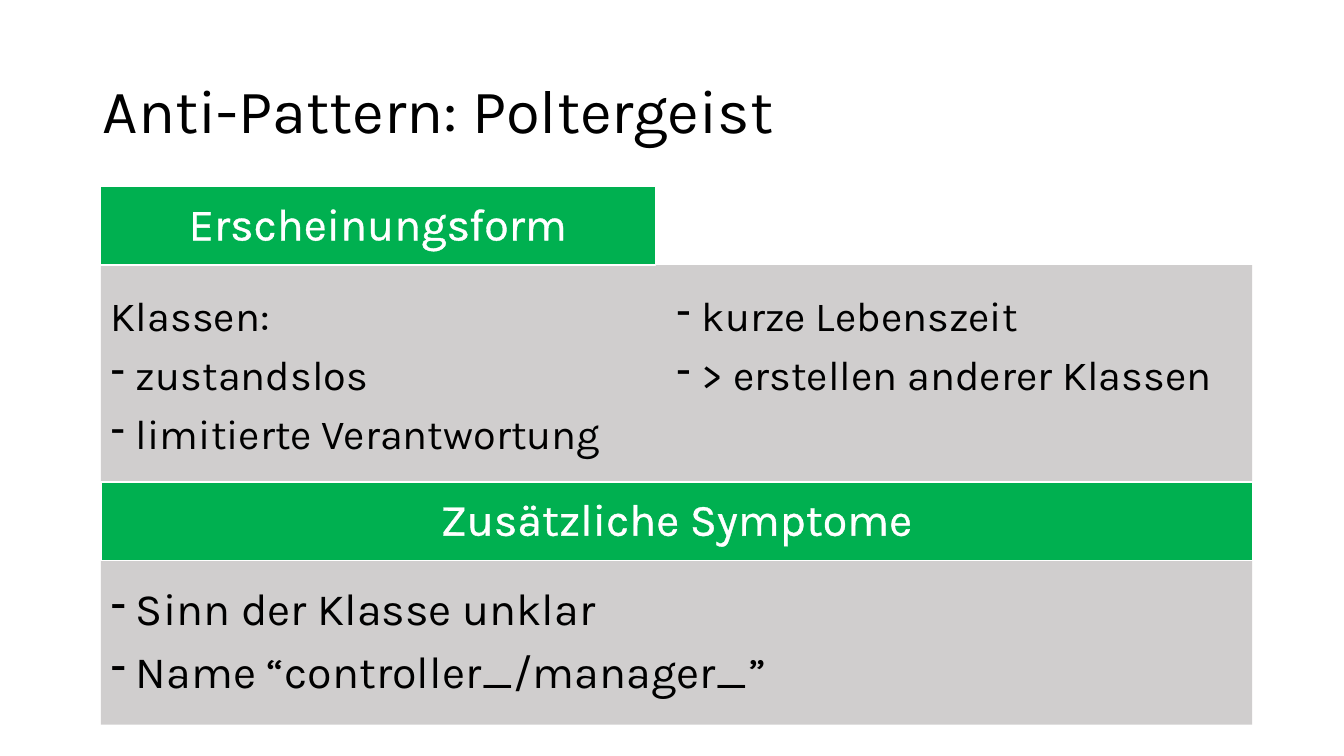
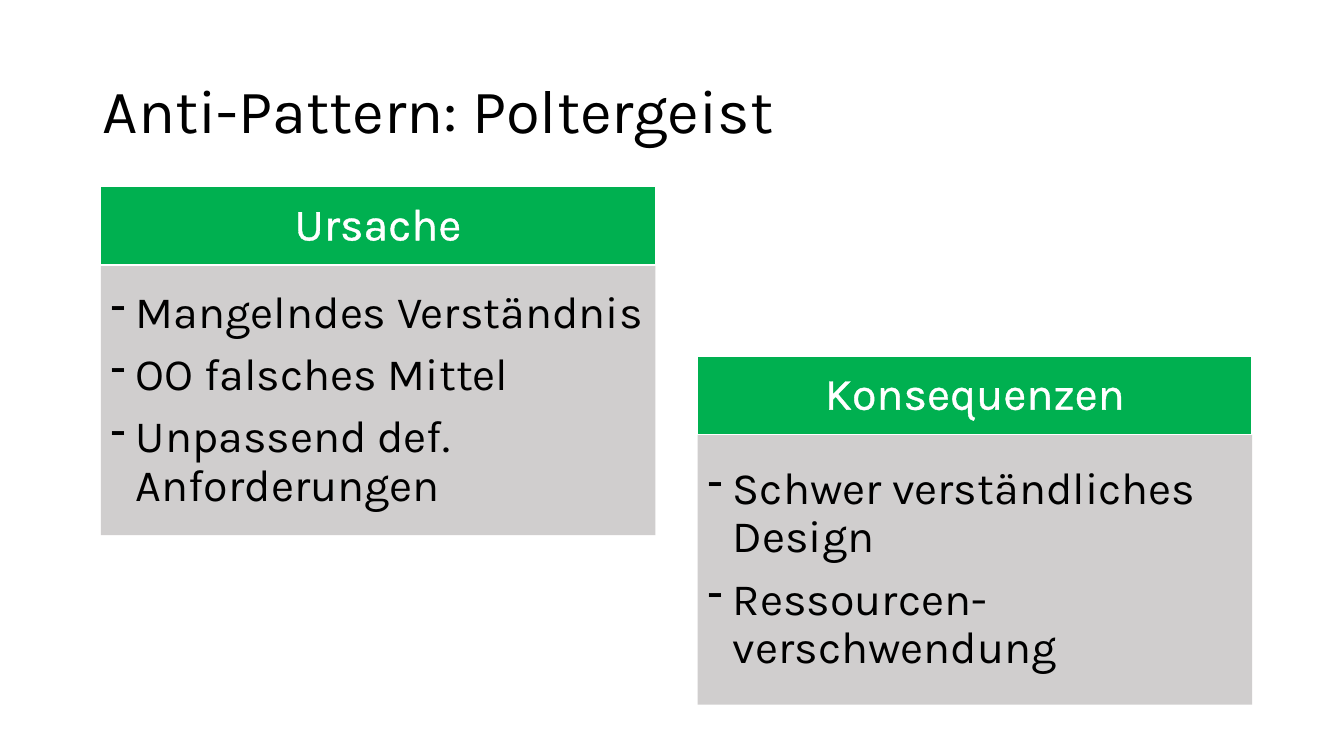
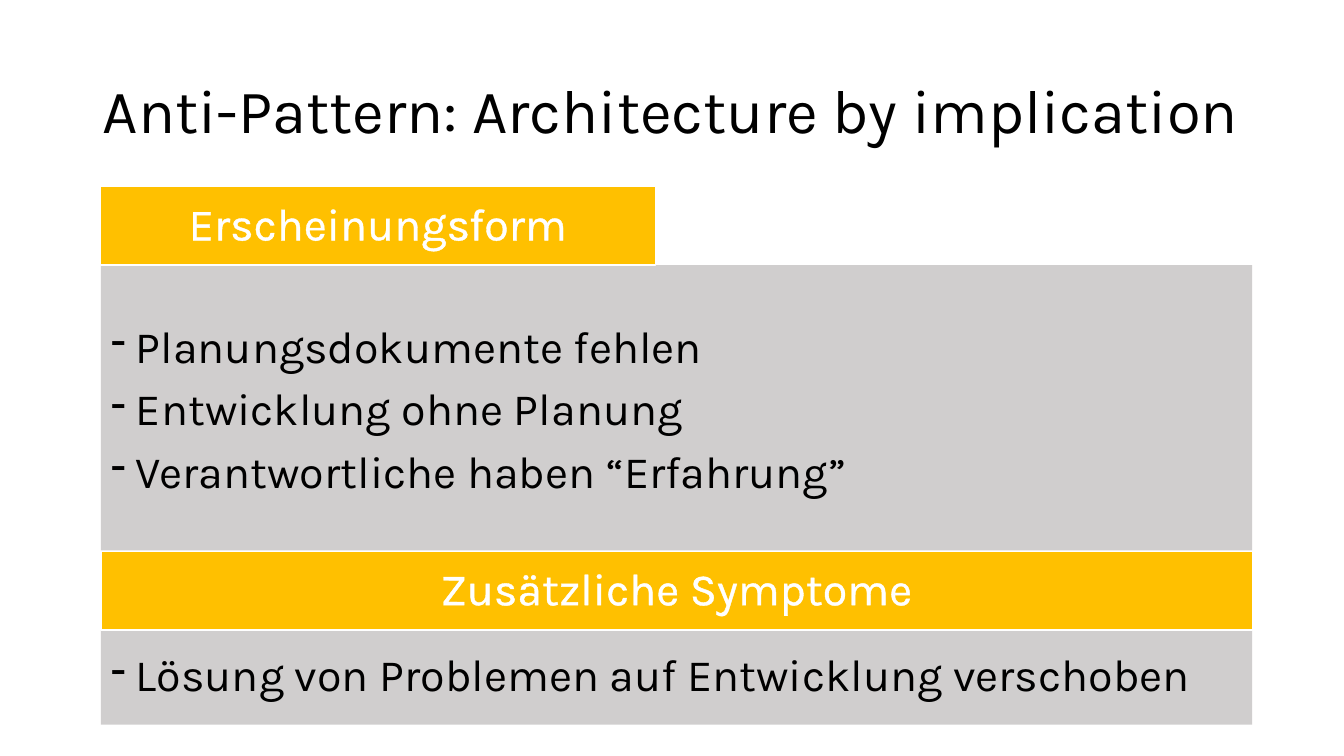
import pptx
import pptx.util
import pptx.dml.color
import pptx.enum.shapes
import pptx.enum.text
import pptx.oxml.ns
import lxml.etree

Inches = pptx.util.Inches
Pt = pptx.util.Pt
ALIGN = pptx.enum.text.PP_ALIGN

COLORS = {"text": "000000", "white": "FFFFFF", "body": "D0CECE",
          "green": "00B050", "amber": "FFC000"}
FONT = "Karla"
LEFT, TOP, HEAD_HEIGHT = 1, 1.85, 0.78
HALF, FULL = 5.5, 11.42
BULLET = "- "

# Panels: heading, left, top, heading width, body width, body height, lines, body options
SLIDES = [
    ("Anti-Pattern: Poltergeist", "green", [
        ("Erscheinungsform", LEFT, TOP, HALF, FULL, 2.15,
         ["Klassen:", "- zustandslos", "- limitierte Verantwortung",
          "- kurze Lebenszeit", "- > erstellen anderer Klassen"],
         {"size": 29.6, "inset": 0.12, "columns": 2}),
        ("Zusätzliche Symptome", LEFT, 4.78, FULL, FULL, 1.63,
         ["- Sinn der Klasse unklar", "- Name “controller_/manager_”"], {}),
    ]),
    ("Anti-Pattern: Poltergeist", "green", [
        ("Ursache", LEFT, TOP, HALF, HALF, 2.68,
         ["- Mangelndes Verständnis", "- OO falsches Mittel",
          "- Unpassend def. Anforderungen"], {}),
        ("Konsequenzen", LEFT + FULL - HALF, 3.53, HALF, HALF, 2.68,
         ["- Schwer verständliches Design", "- Ressourcen-verschwendung"], {}),
    ]),
    ("Anti-Pattern: Architecture by implication", "amber", [
        ("Erscheinungsform", LEFT, TOP, HALF, FULL, 2.83,
         ["- Planungsdokumente fehlen", "- Entwicklung ohne Planung",
          "- Verantwortliche haben “Erfahrung”"], {"inset": 0.12}),
        ("Zusätzliche Symptome", LEFT, 5.47, FULL, FULL, 0.94,
         ["- Lösung von Problemen auf Entwicklung verschoben"], {}),
    ]),
]


def add_box(slide, left, top, width, height, fill):
    box = slide.shapes.add_shape(pptx.enum.shapes.MSO_SHAPE.RECTANGLE, Inches(left),
                                 Inches(top), Inches(width), Inches(height))
    box.shadow.inherit = False
    box.fill.solid()
    box.fill.fore_color.rgb = pptx.dml.color.RGBColor.from_string(COLORS[fill])
    box.line.fill.background()
    return box


def write_lines(frame, lines, size, color, align=ALIGN.LEFT, before=10):
    frame.word_wrap = True
    frame.vertical_anchor = pptx.enum.text.MSO_ANCHOR.MIDDLE
    for number, line in enumerate(lines):
        paragraph = frame.add_paragraph() if number else frame.paragraphs[0]
        paragraph.text = line.removeprefix(BULLET)
        paragraph.alignment = align
        paragraph.line_spacing = 0.9
        paragraph.space_before = Pt(before)
        paragraph.font.name = FONT
        paragraph.font.size = Pt(size)
        paragraph.font.color.rgb = pptx.dml.color.RGBColor.from_string(COLORS[color])
        if line.startswith(BULLET):
            properties = paragraph._p.get_or_add_pPr()
            properties.set("marL", str(Inches(0.25)))
            properties.set("indent", str(-Inches(0.25)))
            dash = lxml.etree.Element(pptx.oxml.ns.qn("a:buChar"), char="-")
            properties.find(pptx.oxml.ns.qn("a:defRPr")).addprevious(dash)


deck = pptx.Presentation()
deck.slide_width = Inches(13.33)
deck.slide_height = Inches(7.5)

for title, accent, panels in SLIDES:
    slide = deck.slides.add_slide(deck.slide_layouts[6])

    # Title
    title_box = slide.shapes.add_textbox(Inches(0.92), Inches(0.4), Inches(11.5), Inches(1.45))
    write_lines(title_box.text_frame, [title], 44, "text", before=0)

    for heading, left, top, head_width, body_width, body_height, lines, options in panels:
        # Grey body
        body = add_box(slide, left, top + HEAD_HEIGHT, body_width, body_height, "body")
        body.text_frame.margin_top = Inches(options.get("inset", 0.05))
        if "columns" in options:
            body.text_frame._txBody.bodyPr.set("numCol", str(options["columns"]))
        write_lines(body.text_frame, lines, options.get("size", 32), "text")

        # Coloured heading, its letters outlined in white
        head = add_box(slide, left, top, head_width, HEAD_HEIGHT, accent)
        head.line.color.rgb = pptx.dml.color.RGBColor.from_string(COLORS["white"])
        head.line.width = Pt(1)
        write_lines(head.text_frame, [heading], 32, "white", ALIGN.CENTER)
        outline = lxml.etree.Element(pptx.oxml.ns.qn("a:ln"), w="0")
        fill = lxml.etree.SubElement(outline, pptx.oxml.ns.qn("a:solidFill"))
        lxml.etree.SubElement(fill, pptx.oxml.ns.qn("a:srgbClr"), val=COLORS["white"])
        head.text_frame.paragraphs[0].runs[0].font._element.insert(0, outline)

deck.save("out.pptx")
